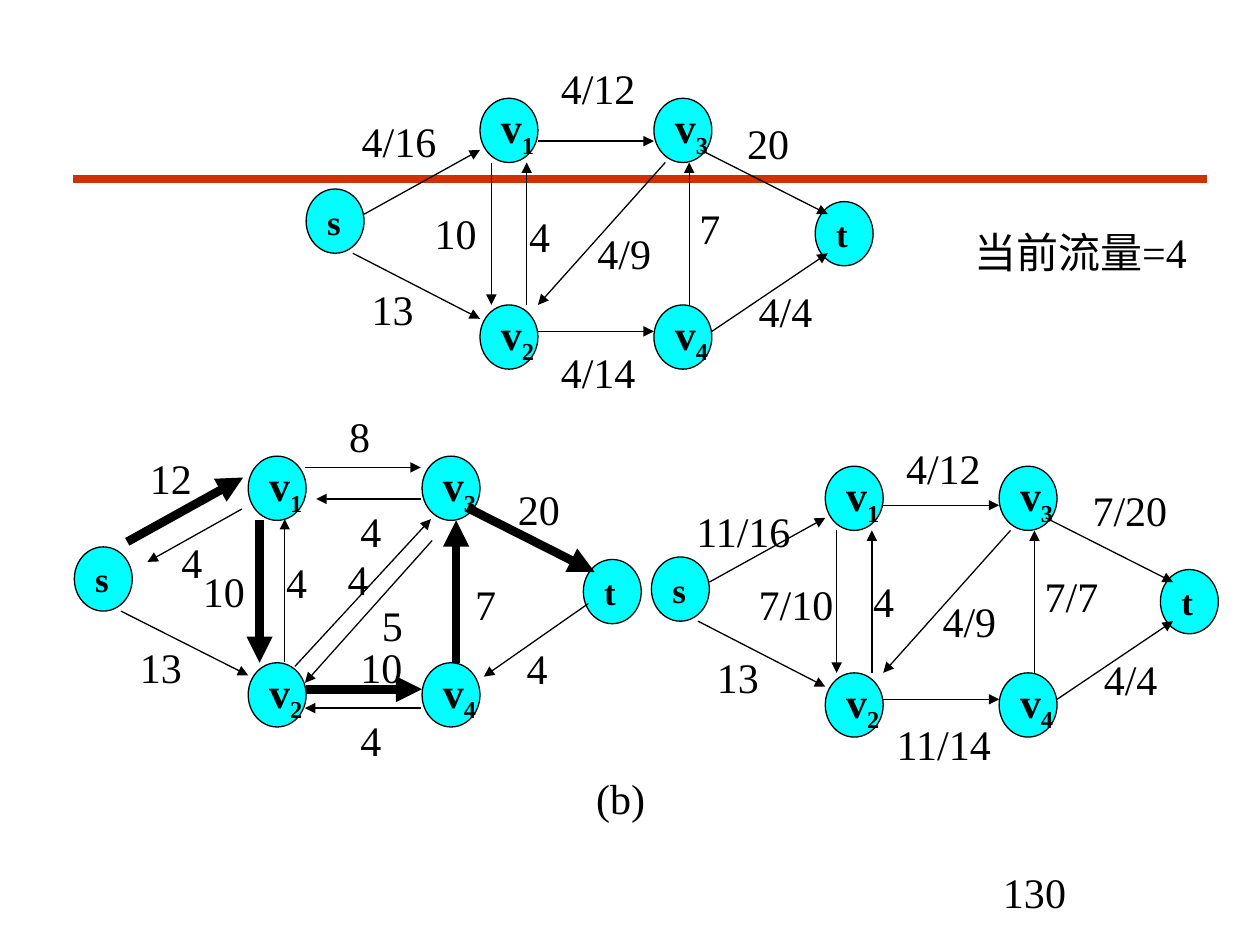
from lxml import etree
from pptx import Presentation, util as u
from pptx.dml.color import RGBColor
from pptx.enum import shapes, text
from pptx.oxml.ns import qn

BLACK = RGBColor(0, 0, 0)
CYAN = RGBColor(0, 255, 255)
RED = RGBColor(0xCC, 0x33, 0)
FONT = "Times New Roman"
THIN, BOLD = 0.75, 5
COLS, ROWS = 100, 75

# Offsets from the top left of node s, in grid units.
NODES = {"s": (0, 0), "v1": (13.8, -7.2), "v2": (13.8, 9.2),
         "v3": (27.6, -7.2), "v4": (27.6, 9.2), "t": (40.4, 1)}
# Each edge: start x, start y, end x, end y, width.
FLOW = [
    (4.6, 2, 13.8, -3.1, THIN), (31.3, -3.1, 41.4, 2, THIN),
    (3.7, 5.1, 13.8, 10.3, THIN), (18.4, 11.3, 27.6, 11.3, THIN),
    (32.2, 11.3, 41.4, 5.1, THIN), (14.7, -2.1, 14.7, 9.2, THIN),
    (17.5, 9.2, 17.5, -2.1, THIN), (30.4, 9.2, 30.4, -2.1, THIN),
    (28.5, -2.1, 18.4, 9.2, THIN),
]
REST = [
    (13.3, -3, 5.8, 1.2, THIN), (4.2, -0.4, 13.4, -5.5, BOLD),
    (18.3, -6.3, 27.5, -6.3, THIN), (27.5, -3.8, 19.2, -3.8, THIN),
    (31.2, -3.1, 41.3, 2, BOLD), (3.7, 5.1, 13.8, 10.2, THIN),
    (18.4, 11.3, 27.6, 11.3, BOLD), (27.5, 12.8, 18.3, 12.8, THIN),
    (14.7, -2.1, 14.7, 9.2, BOLD), (16.7, 9.1, 16.7, -2.2, THIN),
    (30.3, 9.2, 30.3, -2.1, BOLD), (28.4, -0.5, 18.3, 10.8, THIN),
    (17.5, 9.5, 28.3, -2.2, THIN), (40.8, 4.5, 32.5, 10.3, THIN),
]
# Each label: text, column, row on the slide.
START = [("4/16", 27.7, 8.7), ("13", 28.5, 22), ("4/12", 43.5, 4.5),
         ("10", 33.5, 16), ("4", 41, 16.2), ("20", 58.3, 8.8),
         ("4/4", 59.2, 22.2), ("7", 54.5, 15.6), ("4/14", 43.5, 27),
         ("4/9", 46.4, 17.6)]
LEFT = [("12", 10.9, 35.4), ("13", 10.1, 50.4), ("8", 26.7, 32.1),
        ("10", 15.1, 44.4), ("4", 21.7, 43.7), ("20", 40.1, 37.9),
        ("4", 40.8, 50.5), ("7", 36.7, 45.4), ("4", 27.6, 56.2),
        ("4", 13.4, 42.1), ("4", 27.6, 39.6), ("4", 26.6, 43.4),
        ("10", 27.6, 50.4), ("5", 29.3, 47.1)]
NEXT = [("11/16", 54.2, 39.6), ("13", 55.9, 51.2), ("4/12", 70.9, 34.6),
        ("7/10", 59.2, 45.4), ("4", 68.3, 45.2), ("7/20", 85.7, 38),
        ("4/4", 86.6, 51.4), ("7/7", 81.9, 44.8), ("11/14", 70.1, 56.5),
        ("4/9", 73.8, 46.8)]


def write(para, words, size=24, bold=False, sub=False):
    run = para.add_run()
    run.text = words
    font = run.font
    font.name, font.size, font.bold = FONT, u.Pt(size), bold
    font.color.rgb = BLACK
    if sub:
        run._r.get_or_add_rPr().set("baseline", "-25000")


class Board:
    """Draws on one slide, with lengths in grid columns and rows."""

    def __init__(self, deck):
        self.slide = deck.slides.add_slide(deck.slide_layouts[6])
        self.col = deck.slide_width / COLS
        self.row = deck.slide_height / ROWS

    def place(self, x, y):
        return round(x * self.col), round(y * self.row)

    def line(self, x1, y1, x2, y2, width=THIN, color=BLACK, head=True):
        wire = self.slide.shapes.add_connector(
            shapes.MSO_CONNECTOR.STRAIGHT,
            *self.place(x1, y1), *self.place(x2, y2))
        wire.line.width = u.Pt(width)
        wire.line.color.rgb = color
        if head:
            ln = wire.line._get_or_add_ln()
            etree.SubElement(ln, qn("a:tailEnd"), type="triangle")
        etree.SubElement(wire._element.spPr, qn("a:effectLst"))

    def node(self, name, x, y):
        oval = self.slide.shapes.add_shape(
            shapes.MSO_SHAPE.OVAL, *self.place(x, y), *self.place(4.6, 5.1))
        oval.shadow.inherit = False
        oval.fill.solid()
        oval.fill.fore_color.rgb = CYAN
        oval.line.color.rgb = BLACK
        oval.line.width = u.Pt(THIN)
        frame = oval.text_frame
        frame.word_wrap = False
        frame.vertical_anchor = text.MSO_ANCHOR.MIDDLE
        para = frame.paragraphs[0]
        para.alignment = text.PP_ALIGN.LEFT
        write(para, name[0], size=24 if name[1:] else 20, bold=True)
        if name[1:]:
            write(para, name[1:], bold=True, sub=True)

    def label(self, words, x, y, wide=None):
        """Without a width, the box fits its digits and slash."""
        slash = words.count("/")
        fit = 2 + 1.67 * (len(words) - slash) + 0.93 * slash
        box = self.slide.shapes.add_textbox(
            *self.place(x, y), *self.place(wide or fit, 5))
        frame = box.text_frame
        frame.word_wrap = wide is not None
        frame.auto_size = text.MSO_AUTO_SIZE.SHAPE_TO_FIT_TEXT
        para = frame.paragraphs[0]
        para.alignment = text.PP_ALIGN.CENTER
        write(para, words)

    def graph(self, x, y, edges, labels):
        for name, (dx, dy) in NODES.items():
            self.node(name, x + dx, y + dy)
        for x1, y1, x2, y2, width in edges:
            self.line(x + x1, y + y1, x + x2, y + y2, width)
        for item in labels:
            self.label(*item)


def main():
    deck = Presentation()
    deck.slide_width, deck.slide_height = u.Inches(10), u.Inches(7.5)
    board = Board(deck)
    board.line(5.8, 14.2, 95.8, 14.2, 4.5, RED, head=False)
    board.graph(5.9, 43.4, REST, LEFT)
    for x, y, top, labels in ((51.7, 44.2, -4.1, NEXT),
                              (24.3, 15, -3.8, START)):
        board.graph(x, y, FLOW + [(18.4, top, 27.6, top, THIN)], labels)
    board.label("(b)", 46.3, 60.8, wide=5.9)
    board.label("当前流量=4", 75.5, 17.5, wide=20.5)
    board.label("130", 71.7, 68.3, wide=20.8)
    deck.save("out.pptx")


if __name__ == "__main__":
    main()
